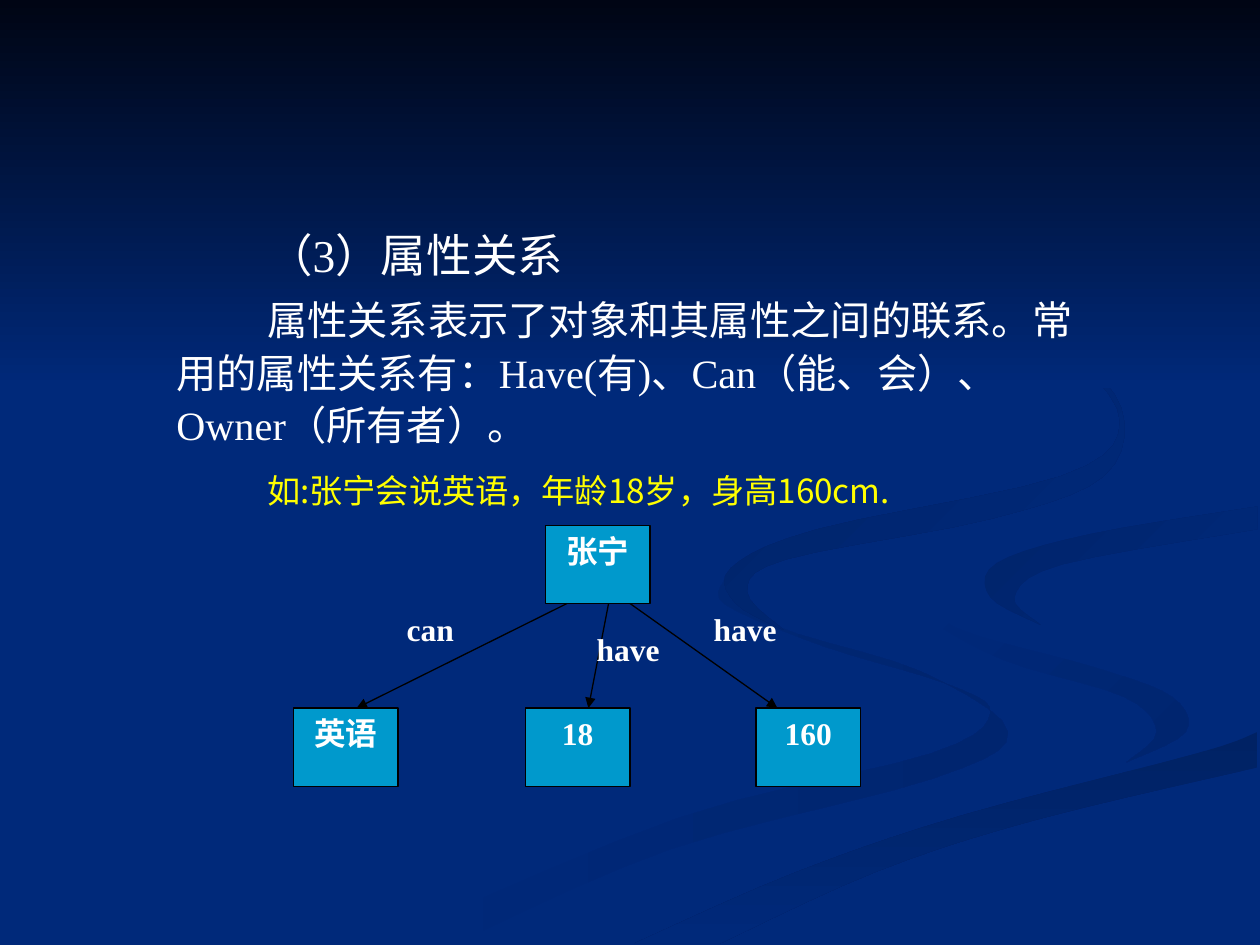
from lxml import etree
from pptx import Presentation
from pptx import util as u
from pptx.dml.color import RGBColor
from pptx.enum import shapes, text
from pptx.oxml.ns import qn

NAVY = RGBColor(0x00, 0x29, 0x7A)
NIGHT = RGBColor(0x00, 0x05, 0x14)
SHADE = RGBColor(0x00, 0x25, 0x6F)
DEEP = RGBColor(0x00, 0x22, 0x64)
DUSK = RGBColor(0x00, 0x24, 0x6B)
DIM = RGBColor(0x00, 0x23, 0x67)
TEAL = RGBColor(0x00, 0x99, 0xCC)
WHITE = RGBColor(0xFF, 0xFF, 0xFF)
YELLOW = RGBColor(0xFF, 0xFF, 0x00)
BLACK = RGBColor(0x00, 0x00, 0x00)
SERIF = "Times New Roman"
SANS = "Noto Sans CJK SC"
NODE_W, NODE_H = 0.83, 0.62
ROOT_TOP, LEAF_TOP = 4.17, 5.62
STEPS = 5

# Each ribbon: first colour, last colour, gradient angle, and its two edges in inches
RIBBONS = [
    (NAVY, SHADE, 0,
     [(5.75, 4.6), (5.76, 4.8), (6.54, 5.13), (7.52, 5.43), (7.86, 5.66), (7.39, 5.98),
      (5.39, 6.49), (3, 7.49)],
     [(3.61, 7.49), (5.32, 6.74), (7.4, 6.18), (8, 5.81), (7.31, 5.33), (6.14, 4.96), (5.75, 4.6)]),
    (NAVY, SHADE, 45,
     [(7.24, 4.64), (7.58, 4.98), (8.7, 5.3), (9.3, 5.53), (9.41, 5.81), (8.94, 6.05)],
     [(8.94, 6.05), (9.18, 5.81), (8.92, 5.53), (7.97, 5.24), (7.33, 4.88), (7.24, 4.64)]),
    (DEEP, NAVY, 90,
     [(5.03, 7.49), (6.3, 6.93), (7.64, 6.47), (9.5, 5.98), (9.98, 5.81)],
     [(9.98, 6.09), (8.21, 6.51), (6.95, 6.92), (5.71, 7.49)]),
    (DUSK, NAVY, 45,
     [(9.98, 4.02), (8.65, 4.24), (7.91, 4.47), (7.86, 4.74), (8.26, 4.96)],
     [(8.26, 4.96), (8.05, 4.74), (8.43, 4.48), (9.98, 4.2)]),
    (DIM, NAVY, 45,
     [(7.62, 2.33), (8.46, 2.79), (8.89, 3.35), (8.42, 3.78), (6.49, 4.2), (5.8, 4.51),
      (5.84, 4.79), (6.22, 5)],
     [(6.22, 5), (5.93, 4.7), (6.24, 4.44), (7.86, 4.12), (8.76, 3.78), (8.9, 3.24),
      (8.43, 2.75), (7.62, 2.33)]),
]

# Text, size, space before, line spacing, font, colour
EXPLANATION = [
    ("（3）属性关系", 26, 0, None, SERIF, WHITE),
    ("属性关系表示了对象和其属性之间的联系。常用的属性关系有：Have(有)、Can（能、会）、"
     "Owner（所有者）。", 23, 5.8, 30, SERIF, WHITE),
    ("如:张宁会说英语，年龄18岁，身高160cm.", 19, 4.8, 30, SANS, YELLOW),
]
NODES = [("张宁", 4.33, ROOT_TOP), ("英语", 2.33, LEAF_TOP),
         ("18", 4.17, LEAF_TOP), ("160", 6, LEAF_TOP)]
ARROWS = [(4.5, 2.83), (4.83, 4.67), (5, 6.17)]
RELATIONS = [("have", 5.5, 4.79), ("have", 4.57, 4.95), ("can", 3, 4.79)]


def smooth(edge):
    """Points in EMU along a Catmull-Rom curve through the edge."""
    padded = [edge[0], *edge, edge[-1]]
    curve = []
    for around in zip(padded, padded[1:], padded[2:], padded[3:]):
        for step in range(STEPS):
            t = step / STEPS
            curve.append(tuple(
                u.Inches(b + t / 2 * (c - a + t * (2 * a - 5 * b + 4 * c - d
                                                   + t * (3 * b - a - 3 * c + d))))
                for a, b, c, d in zip(*around)))
    return curve + [tuple(u.Inches(value) for value in edge[-1])]


class RelationSlide:
    def __init__(self, deck):
        self.slide = deck.slides.add_slide(deck.slide_layouts[1])
        self.shapes = self.slide.shapes
        background = self.slide.background.fill
        background.solid()
        background.fore_color.rgb = NAVY
        title = self.shapes.title.element
        title.getparent().remove(title)

    def shade(self, shape, first, last, angle):
        """Fill with a clockwise-angled gradient and drop outline and shadow."""
        shape.shadow.inherit = False
        shape.line.fill.background()
        shape.fill.gradient()
        shape.fill.gradient_angle = -angle % 360
        for stop, colour, position in zip(shape.fill.gradient_stops, (first, last), (0, 1)):
            stop.color.rgb = colour
            stop.position = position

    def ribbon(self, first, last, angle, outward, back):
        points = smooth(outward) + smooth(back)
        builder = self.shapes.build_freeform(*points[0])
        builder.add_line_segments(points[1:], close=True)
        self.shade(builder.convert_to_shape(), first, last, angle)

    def sky(self):
        band = self.shapes.add_shape(shapes.MSO_SHAPE.RECTANGLE, 0, 0, u.Inches(10), u.Inches(3.08))
        self.shade(band, NIGHT, NAVY, 90)

    def style(self, paragraph, size, font, colour, bold=False):
        for run in paragraph.runs:
            run.font.size, run.font.bold, run.font.name = u.Pt(size), bold, font
            run.font.color.rgb = colour
            etree.SubElement(run.font._element, qn("a:ea"), typeface=SANS)

    def explanation(self, lines):
        body = self.slide.placeholders[1]
        self.shapes.element.append(body.element)  # bring in front of the backdrop
        body.left, body.top = u.Inches(1.19), u.Inches(1.75)
        body.width, body.height = u.Inches(7.62), u.Inches(4.95)
        frame = body.text_frame
        frame.auto_size = text.MSO_AUTO_SIZE.NONE
        frame.text = "\n".join(line[0] for line in lines)
        for paragraph, (_, size, before, spacing, font, colour) in zip(frame.paragraphs, lines):
            properties = paragraph._p.get_or_add_pPr()
            properties.set("marL", str(u.Inches(0.11)))
            properties.set("indent", str(u.Inches(0.72)))
            etree.SubElement(properties, qn("a:buNone"))
            paragraph.space_before = u.Pt(before)
            if spacing:
                paragraph.line_spacing = u.Pt(spacing)
            self.style(paragraph, size, font, colour)

    def caption(self, shape, words):
        frame = shape.text_frame
        frame.word_wrap = True
        frame.vertical_anchor = text.MSO_ANCHOR.TOP
        frame.text = words
        frame.paragraphs[0].alignment = text.PP_ALIGN.CENTER
        self.style(frame.paragraphs[0], 18, SERIF, WHITE, bold=True)

    def node(self, words, left, top):
        box = self.shapes.add_shape(shapes.MSO_SHAPE.RECTANGLE, u.Inches(left), u.Inches(top),
                                    u.Inches(NODE_W), u.Inches(NODE_H))
        box.shadow.inherit = False
        box.fill.solid()
        box.fill.fore_color.rgb = TEAL
        box.line.color.rgb, box.line.width = BLACK, u.Pt(0.75)
        self.caption(box, words)

    def arrow(self, start, end):
        link = self.shapes.add_connector(
            shapes.MSO_CONNECTOR.STRAIGHT, u.Inches(start), u.Inches(ROOT_TOP + NODE_H),
            u.Inches(end), u.Inches(LEAF_TOP))
        link.line.color.rgb, link.line.width = BLACK, u.Pt(0.75)
        etree.SubElement(link.line._get_or_add_ln(), qn("a:tailEnd"), type="triangle")
        etree.SubElement(link.element.spPr, qn("a:effectLst"))

    def relation(self, words, left, top):
        self.caption(self.shapes.add_textbox(u.Inches(left), u.Inches(top), u.Inches(NODE_W),
                                             u.Inches(NODE_H)), words)


def main():
    deck = Presentation()
    deck.slide_width, deck.slide_height = u.Inches(10), u.Inches(7.5)
    page = RelationSlide(deck)
    for ribbon in RIBBONS:
        page.ribbon(*ribbon)
    page.sky()
    page.explanation(EXPLANATION)
    for node in NODES:
        page.node(*node)
    for arrow in ARROWS:
        page.arrow(*arrow)
    for relation in RELATIONS:
        page.relation(*relation)
    deck.save("out.pptx")


if __name__ == "__main__":
    main()
